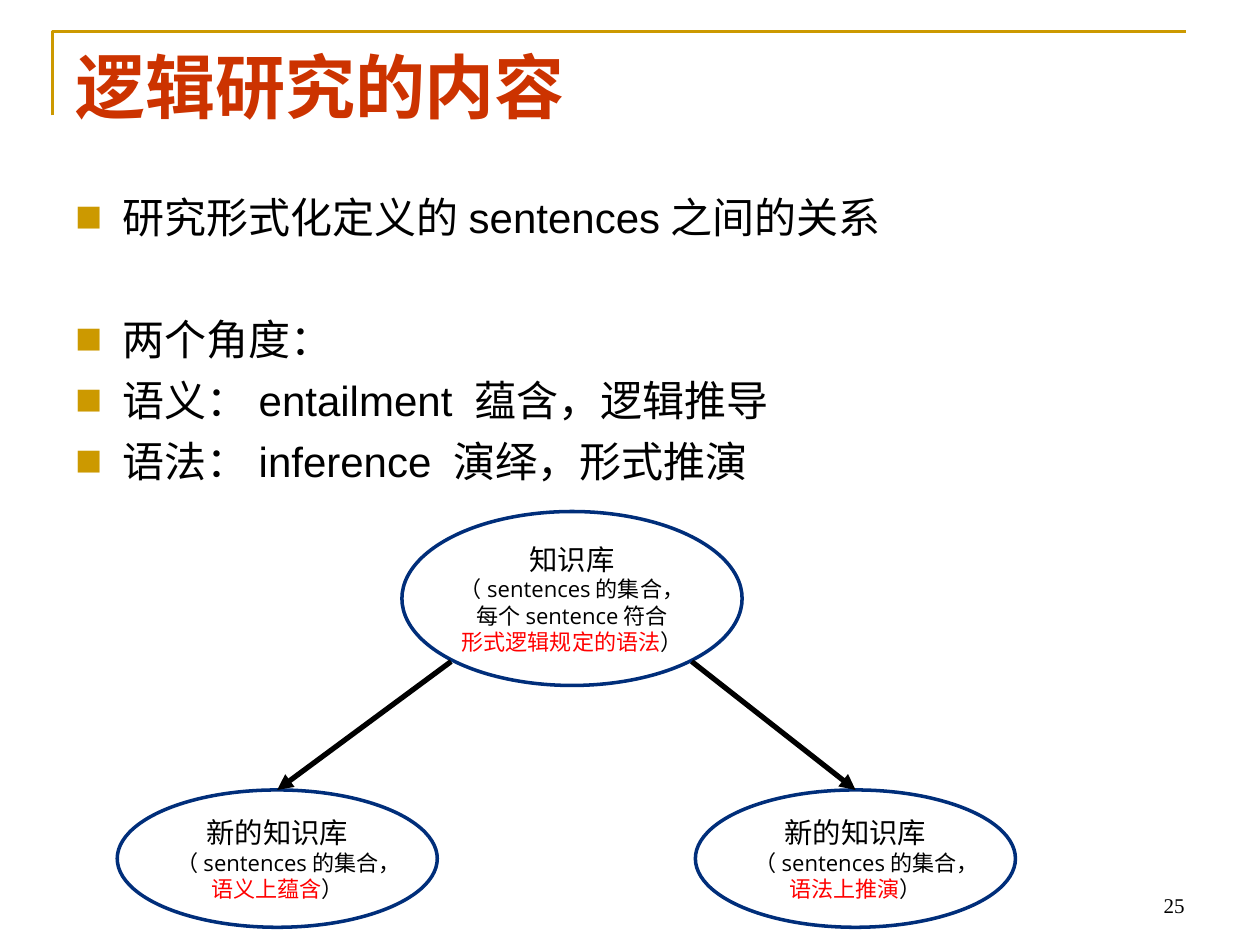
"""Builds the slide on what logic studies, with a knowledge base diagram."""
from typing import Any, NamedTuple

from lxml import etree
from pptx import Presentation
from pptx import util as u
from pptx.dml.color import RGBColor
from pptx.enum import shapes, text
from pptx.oxml import ns

GOLD, NAVY, BLACK, RED = "CC9900", "002E7A", "000000", "FF0000"
CJK = "Noto Sans CJK SC"


class Span(NamedTuple):
    wording: str
    size: float
    face: str
    color: str = BLACK
    bold: bool = False


class Line(NamedTuple):
    spans: list[Span]
    align: Any = text.PP_ALIGN.LEFT
    before: float = 0
    bullet: bool = False


class Box(NamedTuple):
    left: float
    top: float
    width: float
    height: float


class Arrow(NamedTuple):
    start: tuple[float, float]
    end: tuple[float, float]


class Knowledge(NamedTuple):
    box: Box
    heading: str
    details: list[list[tuple[str, str]]]


def apply(target: Any, formats: dict[str, Any]) -> None:
    for name, value in formats.items():
        setattr(target, name, value)


def rgb(code: str) -> RGBColor:
    return RGBColor.from_string(code)


def add_xml(parent: Any, tag: str, **attributes: str) -> Any:
    return etree.SubElement(parent, ns.qn(f"a:{tag}"), attributes)


def add_bullet(paragraph: Any) -> None:
    properties = paragraph._p.get_or_add_pPr()
    apply_indent = {"marL": u.Pt(27), "indent": -u.Pt(27)}
    for name, value in apply_indent.items():
        properties.set(name, str(int(value)))
    add_xml(add_xml(properties, "buClr"), "srgbClr", val=GOLD)
    add_xml(properties, "buSzPct", val="65000")
    add_xml(properties, "buFont", typeface=CJK)
    add_xml(properties, "buChar", char="■")


def write(frame: Any, lines: list[Line], formats: dict[str, Any]) -> None:
    apply(frame, {"word_wrap": True, **formats})
    for index, line in enumerate(lines):
        paragraph = frame.add_paragraph() if index else frame.paragraphs[0]
        if line.bullet:
            add_bullet(paragraph)
        apply(paragraph, {"alignment": line.align, "space_before": u.Pt(line.before)})
        for span in line.spans:
            run = paragraph.add_run()
            run.text = span.wording
            apply(run.font, {"size": u.Pt(span.size), "name": span.face, "bold": span.bold})
            run.font.color.rgb = rgb(span.color)
            add_xml(run._r.get_or_add_rPr(), "ea", typeface=CJK)


def add_text(slide: Any, box: Box, lines: list[Line], anchor: Any = text.MSO_ANCHOR.TOP) -> None:
    frame = slide.shapes.add_textbox(*map(u.Pt, box)).text_frame
    write(frame, lines, {"vertical_anchor": anchor})


def set_line(shape: Any, color: str, width: float) -> None:
    shape.line.color.rgb = rgb(color)
    shape.line.width = u.Pt(width)


def add_corner(slide: Any, box: Box) -> None:
    left, top, right, bottom = map(
        u.Pt, (box.left, box.top, box.left + box.width, box.top + box.height))
    builder = slide.shapes.build_freeform(left, bottom)
    builder.add_line_segments([(left, top), (right, top)], close=False)
    corner = builder.convert_to_shape()
    corner.shadow.inherit = False
    corner.fill.background()
    set_line(corner, GOLD, 1.5)


def add_knowledge(slide: Any, knowledge: Knowledge) -> None:
    ellipse = slide.shapes.add_shape(shapes.MSO_SHAPE.OVAL, *map(u.Pt, knowledge.box))
    ellipse.shadow.inherit = False
    ellipse.fill.background()
    set_line(ellipse, NAVY, 2)
    center = text.PP_ALIGN.CENTER
    lines = [Line([Span(knowledge.heading, 16.2, "Open Sans")], center)]
    lines += [Line([Span(wording, 12.6, "Open Sans", color) for wording, color in detail], center)
              for detail in knowledge.details]
    margins = {f"margin_{side}": u.Pt(2.9) for side in ("left", "top", "right", "bottom")}
    write(ellipse.text_frame, lines, {"vertical_anchor": text.MSO_ANCHOR.MIDDLE, **margins})


def add_arrow(slide: Any, arrow: Arrow) -> None:
    connector = slide.shapes.add_connector(
        shapes.MSO_CONNECTOR.STRAIGHT, *map(u.Pt, arrow.start + arrow.end))
    set_line(connector, BLACK, 3)
    add_xml(connector.line._get_or_add_ln(), "tailEnd", type="triangle")
    add_xml(connector._element.spPr, "effectLst")


def derived(left: float, relation: str) -> Knowledge:
    return Knowledge(Box(left, 451.4, 182.9, 78.5), "新的知识库",
                     [[("（sentences的集合，", BLACK), (relation, RED), ("）", BLACK)]])


def main() -> None:
    deck = Presentation()
    apply(deck, {"slide_width": u.Pt(720), "slide_height": u.Pt(540)})
    slide = deck.slides.add_slide(deck.slide_layouts[6])

    add_corner(slide, Box(30, 18, 648, 48))
    add_text(slide, Box(36, 21.6, 648, 90),
             [Line([Span("逻辑研究的内容", 40, CJK, "CC3300", True)])])

    topics = [("研究形式化定义的sentences之间的关系", 0), ("两个角度：", 41),
              ("语义：entailment 蕴含，逻辑推导", 6), ("语法：inference 演绎，形式推演", 6)]
    add_text(slide, Box(36, 105.8, 648, 377.3),
             [Line([Span(topic, 24, "Arial")], before=gap, bullet=True) for topic, gap in topics])

    base = Knowledge(Box(229.7, 292.3, 194.4, 99.4), "知识库",
                     [[("（sentences的集合，每个sentence符合", BLACK)],
                      [("形式逻辑规定的语法", RED), ("）", BLACK)]])
    for knowledge in (base, derived(67, "语义上蕴含"), derived(397.4, "语法上推演")):
        add_knowledge(slide, knowledge)
    for arrow in (Arrow((257.8, 378), (158.4, 451.4)), Arrow((395.3, 378), (488.9, 451.4))):
        add_arrow(slide, arrow)

    add_text(slide, Box(516.2, 491.8, 167.8, 36),
             [Line([Span("25", 12, "Times New Roman")], text.PP_ALIGN.RIGHT)],
             text.MSO_ANCHOR.BOTTOM)
    deck.save("out.pptx")


if __name__ == "__main__":
    main()
